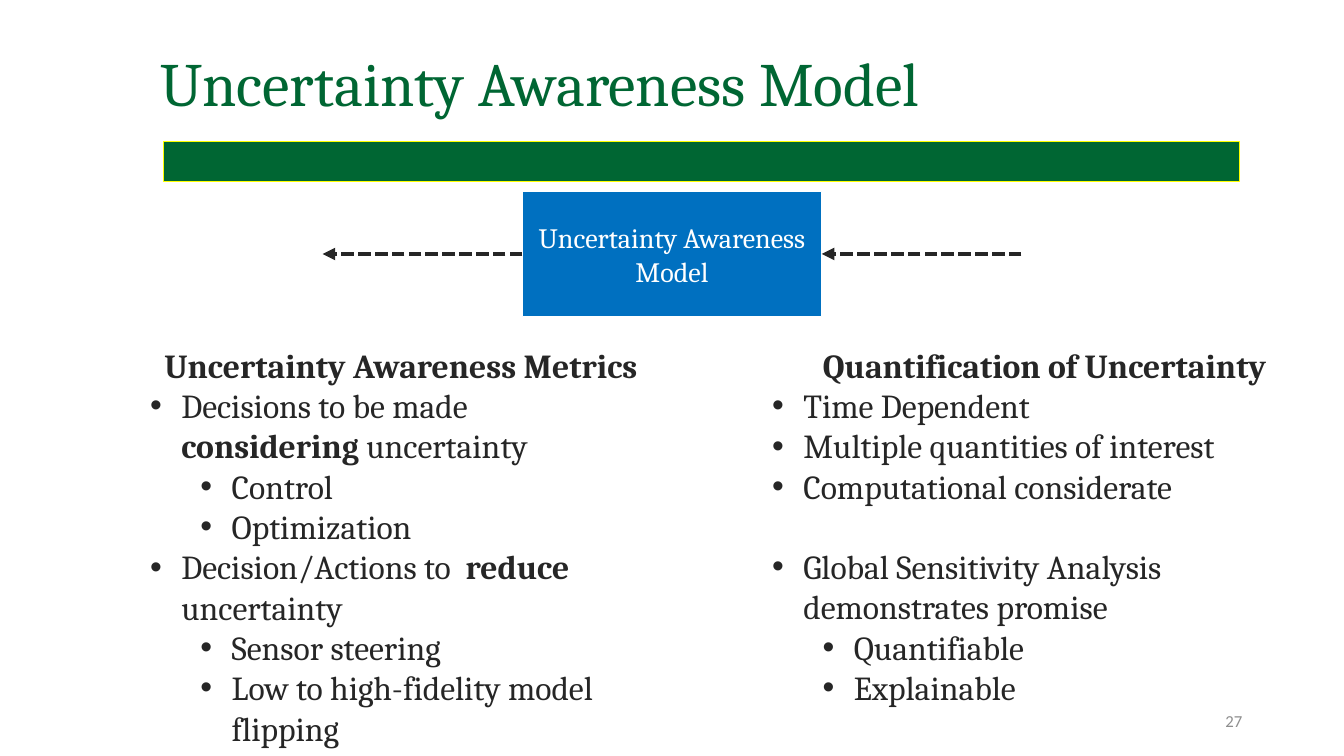
from lxml import etree
from pptx import Presentation
from pptx.dml.color import RGBColor
from pptx.enum import dml, shapes, text
from pptx.oxml.ns import qn
from pptx.util import Inches, Pt

GREEN = RGBColor(0x00, 0x66, 0x33)
YELLOW = RGBColor(0xFF, 0xFF, 0x00)
BLUE = RGBColor(0x00, 0x70, 0xC0)
WHITE = RGBColor(0xFF, 0xFF, 0xFF)
DARK = RGBColor(0x26, 0x26, 0x26)
GREY = RGBColor(0x8E, 0x8E, 0x8E)

TITLE = "Uncertainty Awareness Model"
PAGE = "27"
HEADING_SIZE = 24
GROUP_GAP = 28.7
# level, runs as (text, bold), space before
COLUMNS = [
    {
        "box": (7.56, 3.37, 5.6, 4.54),
        "heading": "Quantification of Uncertainty",
        "items": [
            (0, [("Time Dependent", False)], 0),
            (0, [("Multiple quantities of interest", False)], 0),
            (0, [("Computational considerate", False)], 0),
            (0, [("Global Sensitivity Analysis demonstrates promise", False)], GROUP_GAP),
            (1, [("Quantifiable", False)], 0),
            (1, [("Explainable", False)], 0),
        ],
    },
    {
        "box": (1.39, 3.37, 5.17, 4.75),
        "heading": "Uncertainty Awareness Metrics",
        "items": [
            (0, [("Decisions to be made ", False), ("considering", True),
                 (" uncertainty", False)], 0),
            (1, [("Control", False)], 0),
            (1, [("Optimization", False)], 0),
            (0, [("Decision/Actions to  ", False), ("reduce", True),
                 (" uncertainty", False)], 0),
            (1, [("Sensor steering", False)], 0),
            (1, [("Low to high-fidelity model flipping", False)], 0),
        ],
    },
]
MODEL_BOX = (5.18, 1.9, 2.97, 1.24)
ARROW_LENGTH = 1.98


def style(r, size, color, bold=False, name="Cambria"):
    r.font.size = Pt(size)
    r.font.name = name
    r.font.bold = bold
    r.font.color.rgb = color


def add_rect(s, box, fill, line, width):
    sp = s.shapes.add_shape(shapes.MSO_SHAPE.RECTANGLE, *map(Inches, box))
    sp.shadow.inherit = False
    sp.fill.solid()
    sp.fill.fore_color.rgb = fill
    sp.line.color.rgb = line
    sp.line.width = Pt(width)
    return sp


def add_box(s, box):
    tf = s.shapes.add_textbox(*map(Inches, box)).text_frame
    tf.word_wrap = True
    return tf


def set_line(tf, content, size, color, align, anchor, name="Cambria"):
    tf.text = content
    tf.vertical_anchor = anchor
    p = tf.paragraphs[0]
    p.alignment = align
    style(p.runs[0], size, color, name=name)
    return p


def add_bullet(p, level):
    p.level = level
    pPr = p._p.get_or_add_pPr()
    pPr.set("marL", str(Inches(0.31 + 0.5 * level)))
    pPr.set("indent", str(Inches(-0.31)))
    etree.SubElement(pPr, qn("a:buFont")).set("typeface", "Arial")
    etree.SubElement(pPr, qn("a:buChar")).set("char", "•")


def add_column(s, column):
    tf = add_box(s, column["box"])
    tf.auto_size = text.MSO_AUTO_SIZE.SHAPE_TO_FIT_TEXT
    p = tf.paragraphs[0]
    p.text = column["heading"]
    p.alignment = text.PP_ALIGN.CENTER
    style(p.runs[0], HEADING_SIZE, DARK, True)
    for level, runs, gap in column["items"]:
        p = tf.add_paragraph()
        if gap:
            p.space_before = Pt(gap)
        add_bullet(p, level)
        for content, bold in runs:
            r = p.add_run()
            r.text = content
            style(r, HEADING_SIZE, DARK, bold)


def add_arrow(s, x1, x2, y):
    c = s.shapes.add_connector(shapes.MSO_CONNECTOR.STRAIGHT,
                               Inches(x1), Inches(y), Inches(x2), Inches(y))
    c.line.color.rgb = DARK
    c.line.width = Pt(3)
    c.line.dash_style = dml.MSO_LINE.SQUARE_DOT
    ln = c.line._get_or_add_ln()
    etree.SubElement(ln, qn("a:tailEnd")).set("type", "triangle")
    etree.SubElement(c._element.spPr, qn("a:effectLst"))
    return c


def main():
    prs = Presentation()
    prs.slide_width, prs.slide_height = Inches(13.33), Inches(7.5)
    s = prs.slides.add_slide(prs.slide_layouts[6])

    add_rect(s, (1.62, 1.4, 10.67, 0.4), GREEN, YELLOW, 0.75)
    p = set_line(add_box(s, (1.49, 0.29, 10.92, 0.95)), TITLE, 44, GREEN,
                 text.PP_ALIGN.LEFT, text.MSO_ANCHOR.BOTTOM)
    p.line_spacing = 0.9

    model = add_rect(s, MODEL_BOX, BLUE, WHITE, 1)
    model.text_frame.word_wrap = True
    set_line(model.text_frame, TITLE, 20, WHITE,
             text.PP_ALIGN.CENTER, text.MSO_ANCHOR.MIDDLE)

    left, top, width, height = MODEL_BOX
    right, middle = left + width, top + height / 2
    add_arrow(s, right + ARROW_LENGTH, right, middle).end_connect(model, 3)
    add_arrow(s, left, left - ARROW_LENGTH, middle).begin_connect(model, 1)

    for column in COLUMNS:
        add_column(s, column)

    set_line(add_box(s, (9.42, 6.95, 3, 0.4)), PAGE, 12, GREY,
             text.PP_ALIGN.RIGHT, text.MSO_ANCHOR.MIDDLE, "Calibri")
    prs.save("out.pptx")


if __name__ == "__main__":
    main()
